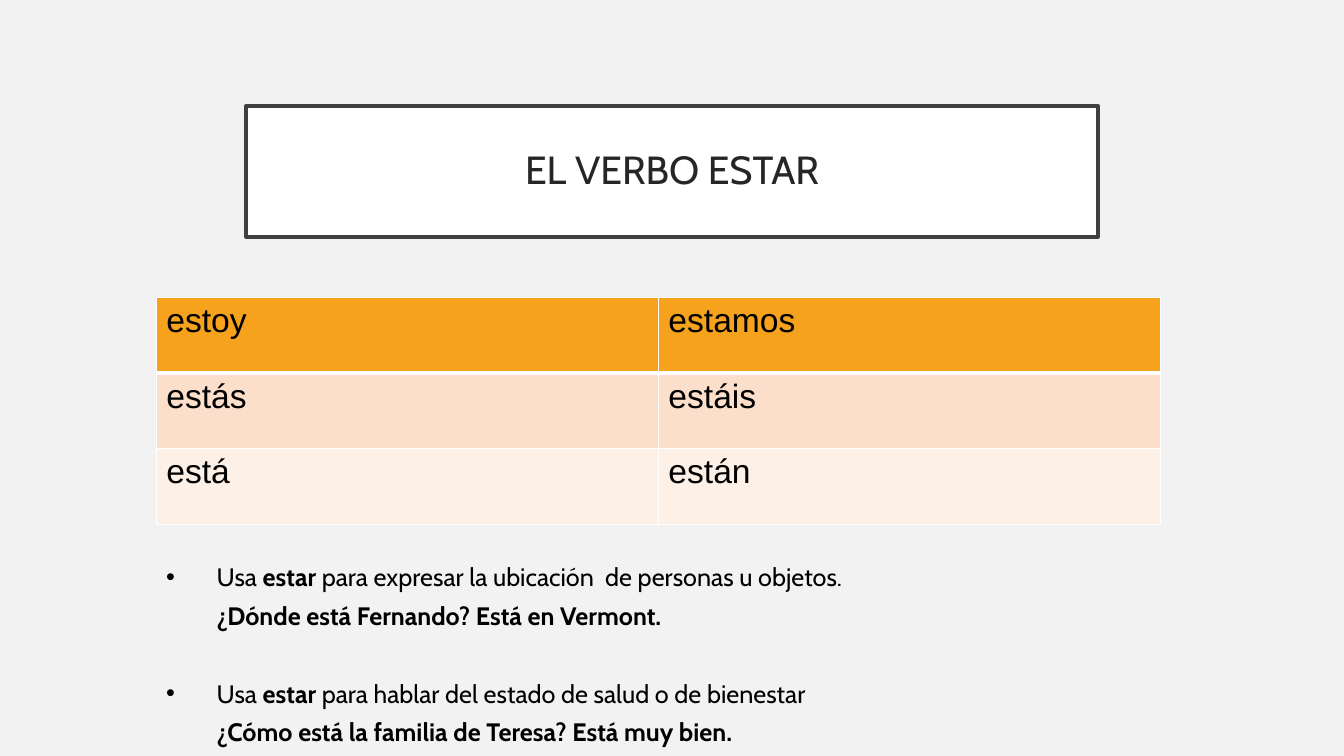
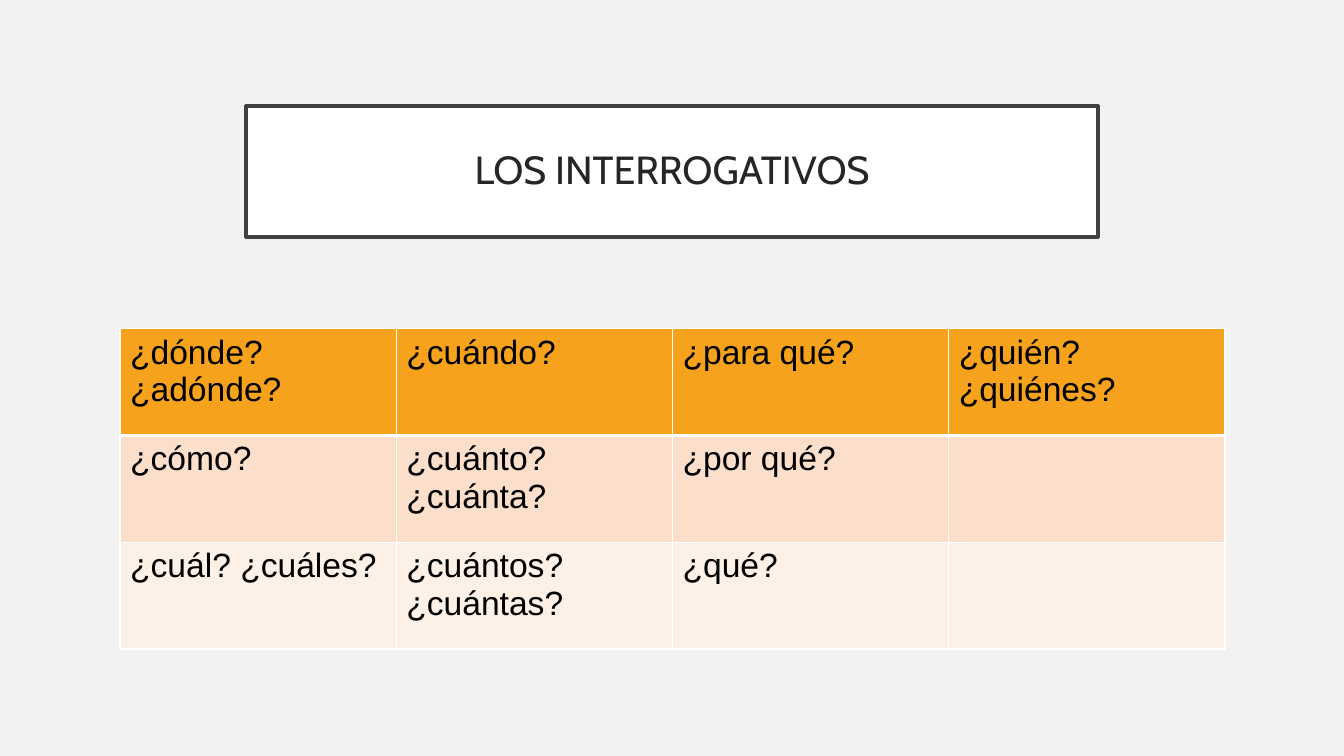
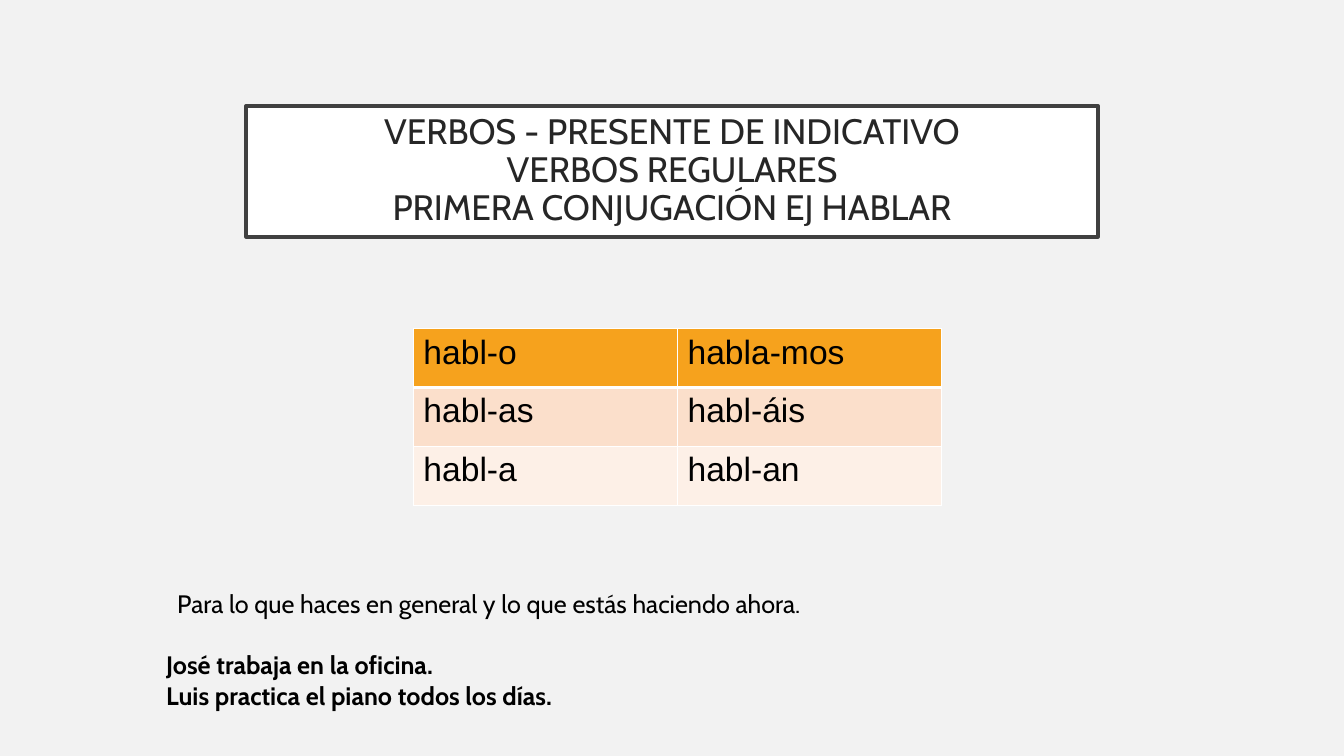
from dataclasses import dataclass

from lxml import etree
from pptx import Presentation
from pptx.dml.color import RGBColor
from pptx.enum.shapes import MSO_SHAPE
from pptx.enum.text import MSO_ANCHOR, PP_ALIGN
from pptx.oxml.ns import qn
from pptx.util import Inches, Pt

RECTANGLE = MSO_SHAPE.RECTANGLE
MIDDLE = MSO_ANCHOR.MIDDLE
CENTER = PP_ALIGN.CENTER


@dataclass(frozen=True)
class Theme:
    background: str = "F2F2F2"
    white: str = "FFFFFF"
    frame: str = "404040"
    title_text: str = "262626"
    text: str = "000000"
    row_fills: tuple = ("F6A21D", "FBDFCB", "FDF0E7")
    title_font: str = "Cabin"
    table_font: str = "Arial"
    cell_size: float = 24
    note_size: float = 18
    thin: float = 1
    thick: float = 3


THEME = Theme()

LESSONS = [
    {
        "title": ["EL VERBO ESTAR"],
        "title_size": 28,
        "table_at": (1.55, 2.95),
        "cell": (4.98, 0.75),
        "rows": [("estoy", "estamos"), ("estás", "estáis"), ("está", "están")],
        "notes_at": (1.55, 5.52, 9.62, 1.95),
        "notes": [
            {"runs": [("Usa ", False), ("estar", True),
                      (" para expresar la ubicación  de personas u objetos.", False)],
             "indent": 0.5, "bullet": True},
            {"runs": [("¿Dónde está Fernando? Está en Vermont.", True)],
             "indent": 0.5, "before": 6},
            {"runs": [("Usa ", False), ("estar", True),
                      (" para hablar del estado de salud o de bienestar", False)],
             "indent": 0.5, "before": 34, "bullet": True},
            {"runs": [("¿Cómo está la familia de Teresa? Está muy bien.", True)],
             "indent": 0.5, "before": 6},
        ],
    },
    {
        "title": ["LOS INTERROGATIVOS"],
        "title_size": 28,
        "table_at": (1.19, 3.26),
        "cell": (2.74, 1.06),
        "rows": [
            ("¿dónde? ¿adónde?", "¿cuándo?", "¿para qué?", "¿quién? ¿quiénes?"),
            ("¿cómo?", "¿cuánto? ¿cuánta?", "¿por qué?", ""),
            ("¿cuál? ¿cuáles?", "¿cuántos? ¿cuántas?", "¿qué?", ""),
        ],
    },
    {
        "title": ["VERBOS - PRESENTE DE INDICATIVO", "VERBOS REGULARES",
                  "PRIMERA CONJUGACIÓN EJ HABLAR"],
        "title_size": 25.2,
        "table_at": (4.1, 3.26),
        "cell": (2.62, 0.585),
        "rows": [("habl-o", "habla-mos"), ("habl-as", "habl-áis"), ("habl-a", "habl-an")],
        "notes_at": (1.55, 5.79, 10.34, 1.57),
        "notes": [
            {"runs": [("Para lo que haces en general y lo que estás haciendo ahora.", False)],
             "indent": 0.11},
            {"runs": [("José trabaja en la oficina.", True)], "before": 22},
            {"runs": [("Luis practica el piano todos los días.", True)]},
        ],
    },
]


def paint(fill, color):
    fill.solid()
    fill.fore_color.rgb = RGBColor.from_string(color)


def add_span(para, text, font, size, color, bold=False):
    span = para.add_run()
    span.text = text
    span.font.name = font
    span.font.size = Pt(size)
    span.font.bold = bold
    span.font.color.rgb = RGBColor.from_string(color)


def paragraphs(frame, items):
    for index, item in enumerate(items):
        yield (frame.add_paragraph() if index else frame.paragraphs[0]), item


def add_title(page, lines, size):
    box = page.shapes.add_shape(RECTANGLE, Inches(2.44), Inches(1.05), Inches(8.45), Inches(1.3))
    box.shadow.inherit = False
    paint(box.fill, THEME.white)
    paint(box.line.fill, THEME.frame)
    box.line.width = Pt(2.5)
    frame = box.text_frame
    frame.word_wrap = True
    frame.vertical_anchor = MIDDLE
    frame.margin_left = frame.margin_right = Inches(0.2)
    frame.margin_top = frame.margin_bottom = Inches(0.2)
    for para, line in paragraphs(frame, lines):
        para.alignment = CENTER
        para.line_spacing = 0.9
        add_span(para, line, THEME.title_font, size, THEME.title_text)


def set_borders(cell, widths):
    properties = cell._tc.get_or_add_tcPr()
    for side, width in widths.items():
        line = etree.SubElement(properties, qn(f"a:ln{side}"), w=str(Pt(width)))
        solid = etree.SubElement(line, qn("a:solidFill"))
        etree.SubElement(solid, qn("a:srgbClr"), val=THEME.white)


def add_grid(page, at, cell_size, rows):
    left, top = at
    width, height = cell_size
    columns = len(rows[0])
    table = page.shapes.add_table(len(rows), columns, Inches(left), Inches(top),
                                  Inches(width * columns), Inches(height * len(rows))).table
    table.first_row = table.horz_banding = False
    for row, words in enumerate(rows):
        for column, word in enumerate(words):
            cell = table.cell(row, column)
            set_borders(cell, {
                "L": THEME.thin,
                "R": THEME.thin,
                "T": THEME.thick if row == 1 else THEME.thin,
                "B": THEME.thick if row == 0 else THEME.thin,
            })
            paint(cell.fill, THEME.row_fills[row])
            if word:
                add_span(cell.text_frame.paragraphs[0], word, THEME.table_font,
                         THEME.cell_size, THEME.text)


def set_indent(para, indent, bullet):
    properties = para._p.get_or_add_pPr()
    properties.set("marL", str(Inches(indent)))
    properties.set("indent", str(Inches(-indent if bullet else 0)))
    if bullet:
        color = etree.SubElement(properties, qn("a:buClr"))
        etree.SubElement(color, qn("a:srgbClr"), val=THEME.text)
        etree.SubElement(properties, qn("a:buFont"), typeface=THEME.table_font)
        etree.SubElement(properties, qn("a:buChar"), char="•")


def add_notes(page, at, notes):
    frame = page.shapes.add_textbox(*map(Inches, at)).text_frame
    frame.word_wrap = True
    for para, note in paragraphs(frame, notes):
        para.space_before = Pt(note.get("before", 0))
        set_indent(para, note.get("indent", 0), note.get("bullet", False))
        for text, bold in note["runs"]:
            add_span(para, text, THEME.title_font, THEME.note_size, THEME.text, bold)


def main():
    deck = Presentation()
    deck.slide_width, deck.slide_height = Inches(13.33), Inches(7.5)
    paint(deck.slide_master.background.fill, THEME.background)
    for lesson in LESSONS:
        page = deck.slides.add_slide(deck.slide_layouts[6])
        add_title(page, lesson["title"], lesson["title_size"])
        add_grid(page, lesson["table_at"], lesson["cell"], lesson["rows"])
        if "notes" in lesson:
            add_notes(page, lesson["notes_at"], lesson["notes"])
    deck.save("out.pptx")


if __name__ == "__main__":
    main()
